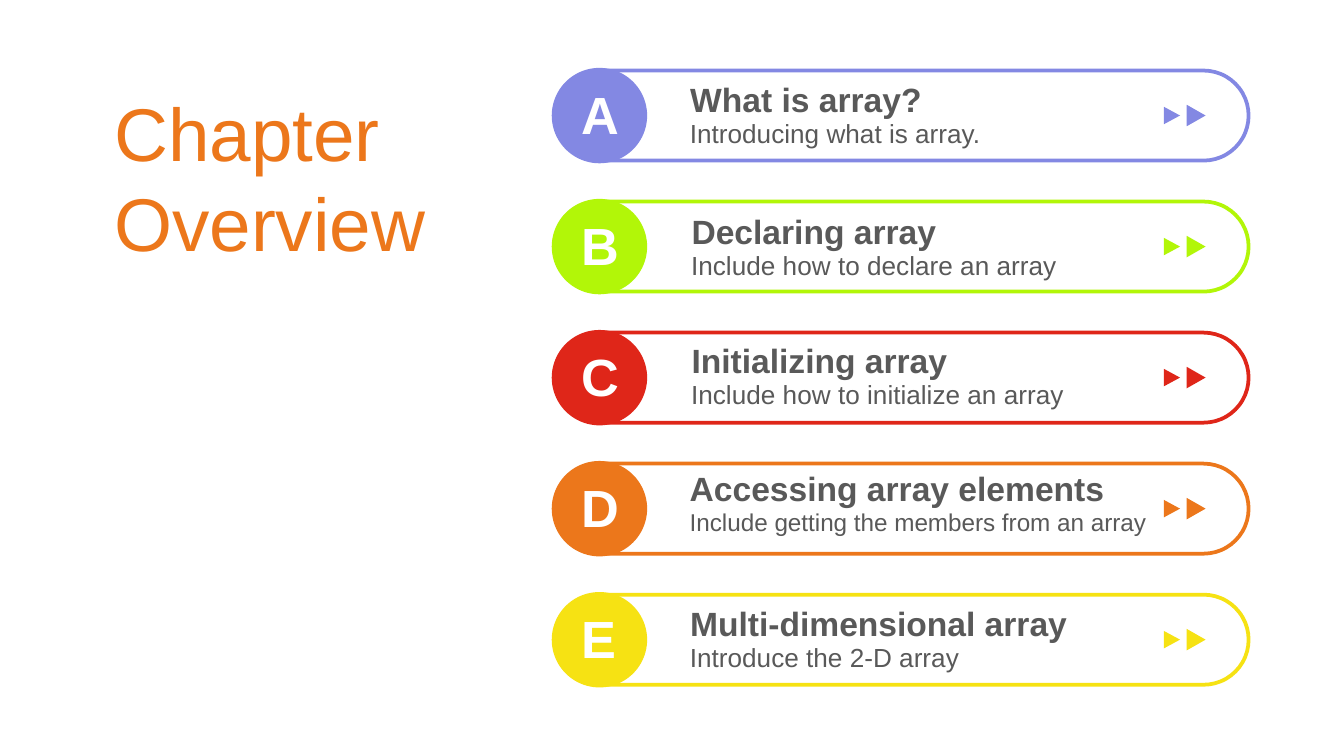
from dataclasses import dataclass

from pptx import Presentation
from pptx.dml.color import RGBColor
from pptx.enum.shapes import MSO_SHAPE as Shape
from pptx.enum.text import MSO_ANCHOR as Anchor, PP_ALIGN as Align
from pptx.util import Inches, Pt


@dataclass(frozen=True)
class Theme:
    font: str = "Arial"
    white: str = "FFFFFF"
    text: str = "595959"
    accent: str = "EC771B"
    title_size: int = 40
    letter_size: int = 28
    heading_size: int = 18
    detail_size: int = 14
    small_detail_size: int = 13
    outline: int = 2


@dataclass(frozen=True)
class Topic:
    letter: str
    color: str
    heading: str
    detail: str
    left: float
    top: float
    width: float = 3.08
    heading_height: float = 0.35
    detail_size: int = Theme.detail_size


THEME = Theme()
SLIDE_WIDTH = 10
SLIDE_HEIGHT = SLIDE_WIDTH * 9 / 16
FIRST_CENTER, LAST_CENTER = 0.86, 4.76
TOPICS = [
    Topic("A", "8388E3", "What is array?", "Introducing what is array.", 5.02, 0.52),
    Topic("B", "B2F608", "Declaring array", "Include how to declare an array", 5.03, 1.5),
    Topic("C", "DF2619", "Initializing array", "Include how to initialize an array", 5.03, 2.46),
    Topic("D", THEME.accent, "Accessing array elements",
          "Include getting the members from an array", 5.02, 3.42,
          width=3.9, heading_height=0.29, detail_size=THEME.small_detail_size),
    Topic("E", "F6E213", "Multi-dimensional array", "Introduce the 2-D array", 5.02, 4.42,
          width=3.32),
]
ROW_PITCH = (LAST_CENTER - FIRST_CENTER) / (len(TOPICS) - 1)


def add_shape(slide, kind, center_x, center_y, width, height, fill, rotation=0):
    """Add a filled, unlined shape; width and height are those before rotation."""
    shape = slide.shapes.add_shape(
        kind, Inches(center_x - width / 2), Inches(center_y - height / 2),
        Inches(width), Inches(height))
    shape.rotation = rotation
    shape.shadow.inherit = False
    shape.fill.solid()
    shape.fill.fore_color.rgb = RGBColor.from_string(fill)
    shape.line.fill.background()
    return shape


def write(shape, text, size, color, bold=False):
    frame = shape.text_frame
    frame.word_wrap = True
    frame.text = text
    paragraph = frame.paragraphs[0]
    paragraph.alignment = Align.LEFT
    paragraph.font.name = THEME.font
    paragraph.font.size = Pt(size)
    paragraph.font.bold = bold
    paragraph.font.color.rgb = RGBColor.from_string(color)


def add_caption(slide, topic, top, height, text, size, bold=False):
    shape = slide.shapes.add_shape(
        Shape.ROUND_2_SAME_RECTANGLE, Inches(topic.left), Inches(top),
        Inches(topic.width), Inches(height))
    shape.shadow.inherit = False
    shape.fill.background()
    shape.line.fill.background()
    write(shape, text, size, THEME.text, bold)
    shape.text_frame.vertical_anchor = Anchor.TOP


def add_pill(slide, center_y, color):
    """Add the bar whose rounded top is turned to face right."""
    pill = add_shape(slide, Shape.ROUND_2_SAME_RECTANGLE, 6.89, center_y,
                     0.67, 4.8, THEME.white, rotation=90)
    pill.adjustments[0] = 0.5
    pill.line.color.rgb = RGBColor.from_string(color)
    pill.line.width = Pt(THEME.outline)


def add_badge(slide, center_y, topic):
    add_shape(slide, Shape.OVAL, 4.46, center_y, 0.71, 0.71, topic.color)
    letter = slide.shapes.add_textbox(
        Inches(4.23), Inches(center_y - 0.3), Inches(0.49), Inches(0.57))
    write(letter, topic.letter, THEME.letter_size, THEME.white, bold=True)


def add_arrows(slide, center_y, color):
    for center_x, width, height in ((8.72, 0.13, 0.12), (8.9, 0.16, 0.14)):
        add_shape(slide, Shape.ISOSCELES_TRIANGLE, center_x, center_y,
                  width, height, color, rotation=90)


def add_topic(slide, center_y, topic):
    add_pill(slide, center_y, topic.color)
    add_badge(slide, center_y, topic)
    add_arrows(slide, center_y, topic.color)
    add_caption(slide, topic, topic.top, topic.heading_height,
                topic.heading, THEME.heading_size, bold=True)
    add_caption(slide, topic, topic.top + 0.29, 0.29, topic.detail, topic.detail_size)


def set_title(slide, text):
    title = slide.shapes.title
    title.left, title.top = Inches(0.75), Inches(0.53)
    title.width, title.height = Inches(2.83), Inches(1.57)
    write(title, text, THEME.title_size, THEME.accent)
    title.text_frame.vertical_anchor = Anchor.MIDDLE


def main():
    presentation = Presentation()
    presentation.slide_width = Inches(SLIDE_WIDTH)
    presentation.slide_height = Inches(SLIDE_HEIGHT)
    slide = presentation.slides.add_slide(presentation.slide_layouts[5])
    set_title(slide, "Chapter Overview")
    for row, topic in enumerate(TOPICS):
        add_topic(slide, FIRST_CENTER + row * ROW_PITCH, topic)
    presentation.save("out.pptx")


if __name__ == "__main__":
    main()
